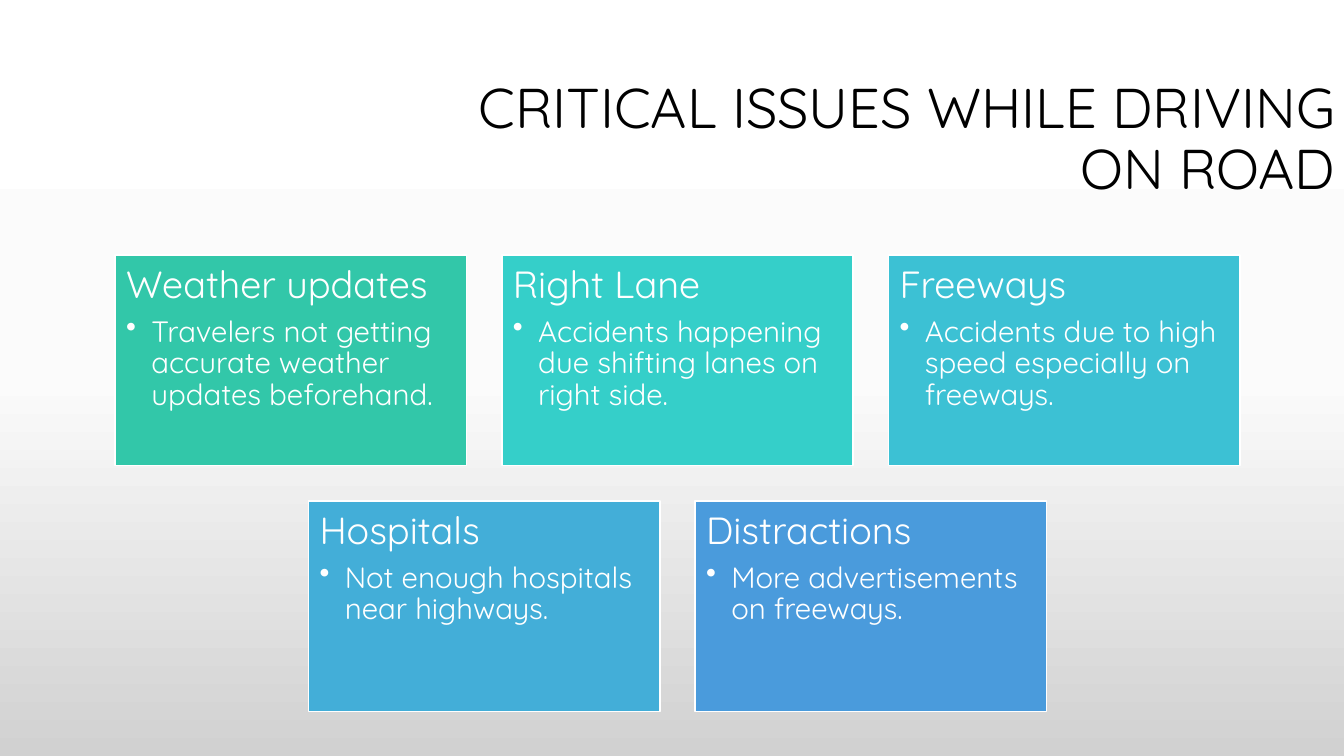
from copy import deepcopy

from lxml import etree
from pptx import Presentation
from pptx.dml.color import RGBColor
from pptx.enum.shapes import MSO_SHAPE
from pptx.enum.text import MSO_ANCHOR, PP_ALIGN
from pptx.oxml.ns import qn
from pptx.util import Inches, Pt

RECTANGLE = MSO_SHAPE.RECTANGLE
TOP, MIDDLE = MSO_ANCHOR.TOP, MSO_ANCHOR.MIDDLE
LEFT, RIGHT = PP_ALIGN.LEFT, PP_ALIGN.RIGHT

FONT = "Quicksand"
BLACK = RGBColor(0x00, 0x00, 0x00)
WHITE = RGBColor(0xFF, 0xFF, 0xFF)
GREEN = RGBColor(0x32, 0xC7, 0xA9)
TURQUOISE = RGBColor(0x35, 0xCF, 0xC9)
CYAN = RGBColor(0x3C, 0xC1, 0xD4)
SKY = RGBColor(0x43, 0xAE, 0xD8)
BLUE = RGBColor(0x4A, 0x9B, 0xDC)
BACKGROUND = [
    (0, WHITE),
    (0.5, RGBColor(0xFB, 0xFB, 0xFB)),
    (1, RGBColor(0xD1, 0xD1, 0xD1)),
]

TITLE = "CRITICAL ISSUES WHILE DRIVING ON ROAD"
ISSUE_ROWS = [
    [
        ("Weather updates", "Travelers not getting accurate weather updates beforehand.", GREEN),
        ("Right Lane", "Accidents happening due shifting lanes on right side.", TURQUOISE),
        ("Freeways", "Accidents due to high speed especially on freeways.", CYAN),
    ],
    [
        ("Hospitals", "Not enough hospitals near highways.", SKY),
        ("Distractions", "More advertisements on freeways.", BLUE),
    ],
]

CARD_WIDTH, CARD_HEIGHT, GAP = 3.485, 2.09, 0.35
CENTER, CARDS_TOP = 6.72, 2.53
INSET = 0.11
INDENT = 0.25


def paint_background(page):
    fill = page.background.fill
    fill.gradient()
    fill.gradient_angle = 270
    stop_list = page.element.find(".//" + qn("a:gsLst"))
    stop_list.append(deepcopy(stop_list[0]))
    for stop, (position, color) in zip(fill.gradient_stops, BACKGROUND):
        stop.position = position
        stop.color.rgb = color


def write(para, text, size, color, align=LEFT):
    para.alignment = align
    para.line_spacing = 0.9
    span = para.add_run()
    span.text = text
    span.font.name = FONT
    span.font.size = Pt(size)
    span.font.color.rgb = color


def add_bullet(para):
    properties = para._p.get_or_add_pPr()
    properties.set("marL", str(Inches(INDENT)))
    properties.set("indent", str(-Inches(INDENT)))
    etree.SubElement(properties, qn("a:buChar")).set("char", "•")


def add_title(page):
    box = page.shapes.add_textbox(Inches(3.92), Inches(0.69), Inches(9.42), Inches(1.41))
    frame = box.text_frame
    frame.word_wrap = True
    frame.vertical_anchor = MIDDLE
    write(frame.paragraphs[0], TITLE, 40, BLACK, RIGHT)


def add_card(page, left, top, heading, detail, color):
    card = page.shapes.add_shape(
        RECTANGLE, Inches(left), Inches(top), Inches(CARD_WIDTH), Inches(CARD_HEIGHT)
    )
    card.shadow.inherit = False
    card.fill.solid()
    card.fill.fore_color.rgb = color
    card.line.color.rgb = WHITE
    card.line.width = Pt(1)
    frame = card.text_frame
    frame.word_wrap = True
    frame.vertical_anchor = TOP
    frame.margin_left = frame.margin_right = Inches(INSET)
    frame.margin_top = frame.margin_bottom = Inches(INSET)
    para = frame.paragraphs[0]
    write(para, heading, 27, WHITE)
    para.space_after = Pt(7)
    para = frame.add_paragraph()
    write(para, detail, 21, WHITE)
    add_bullet(para)


def main():
    deck = Presentation()
    deck.slide_width, deck.slide_height = Inches(13.33), Inches(7.5)
    page = deck.slides.add_slide(deck.slide_layouts[6])
    paint_background(page)
    add_title(page)
    for row, issues in enumerate(ISSUE_ROWS):
        row_width = len(issues) * (CARD_WIDTH + GAP) - GAP
        top = CARDS_TOP + row * (CARD_HEIGHT + GAP)
        for column, issue in enumerate(issues):
            left = CENTER - row_width / 2 + column * (CARD_WIDTH + GAP)
            add_card(page, left, top, *issue)
    deck.save("out.pptx")


if __name__ == "__main__":
    main()
